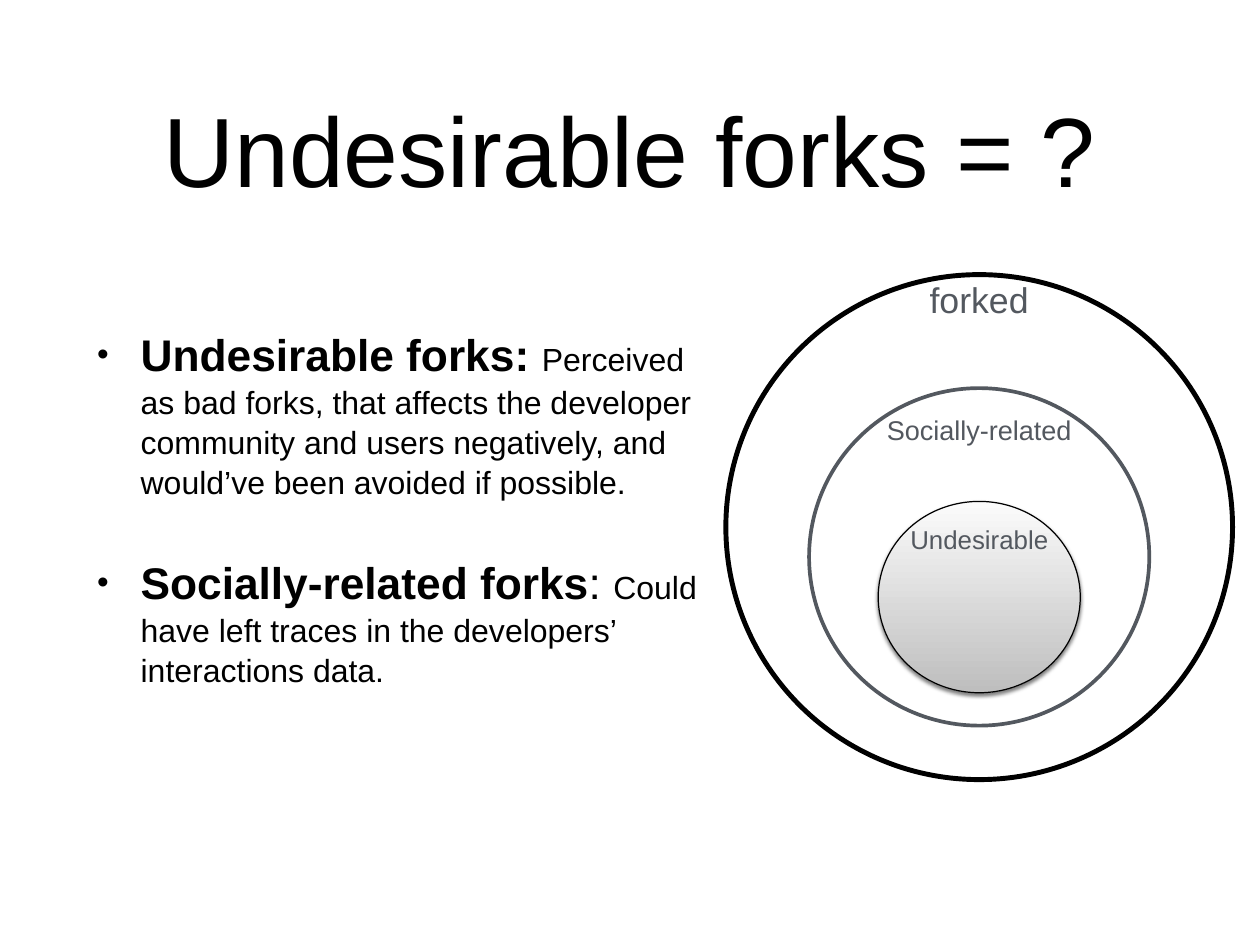
"""Build a slide defining undesirable forks beside three nested circles."""
from dataclasses import dataclass
from typing import Any, Optional

import lxml.etree
import pptx
import pptx.dml.color
import pptx.enum.shapes
import pptx.enum.text
import pptx.oxml.ns
import pptx.util

FONT = "Arial"
BLACK = "000000"
GREY = "53585F"
CIRCLES_CENTER = 795.8
TEXT_MARGIN = 4
BULLET_INDENT = 35.3


@dataclass(frozen=True)
class Circle:
    top: float
    width: float
    height: float
    line_color: str
    line_width: float
    gradient: Optional[tuple[str, str]] = None


@dataclass(frozen=True)
class Label:
    text: str
    top: float
    width: float
    height: float
    size: float


@dataclass(frozen=True)
class Definition:
    term: str
    separator: str
    meaning: str
    space_before: float


CIRCLES = [
    Circle(223.2, 411.8, 410.4, BLACK, 4),
    Circle(315.4, 276.5, 274.3, GREY, 3),
    Circle(407.5, 164.2, 155.5, BLACK, 1, ("FBFBFB", "BEBEBE")),
]
LABELS = [
    Label("Undesirable", 421.9, 123.1, 33.1, 21),
    Label("Socially-related", 331.9, 159.8, 33.8, 22),
    Label("forked", 221.8, 91.4, 43.2, 29),
]
DEFINITIONS = [
    Definition(
        "Undesirable forks: ", "",
        "Perceived as bad forks, that affects the developer community and users "
        "negatively, and would’ve been avoided if possible.", 0),
    Definition(
        "Socially-related forks", ": ",
        "Could have left traces in the developers’ interactions data.", 42),
]


def set_color(color_format: Any, value: str) -> None:
    color_format.rgb = pptx.dml.color.RGBColor.from_string(value)


def add_child(parent: Any, tag: str, **attributes: str) -> Any:
    return lxml.etree.SubElement(parent, pptx.oxml.ns.qn(tag), attributes)


def add_text(paragraph: Any, text: str, *, size: float, color: str = BLACK,
             bold: bool = False) -> None:
    run = paragraph.add_run()
    run.text = text
    run.font.name = FONT
    run.font.size = pptx.util.Pt(size)
    run.font.bold = bold
    set_color(run.font.color, color)


def format_frame(text_frame: Any, *, wrap: bool = True) -> None:
    text_frame.word_wrap = wrap
    text_frame.auto_size = (pptx.enum.text.MSO_AUTO_SIZE.NONE if wrap
                            else pptx.enum.text.MSO_AUTO_SIZE.SHAPE_TO_FIT_TEXT)
    text_frame.vertical_anchor = pptx.enum.text.MSO_ANCHOR.MIDDLE
    for side in ("left", "top", "right", "bottom"):
        setattr(text_frame, f"margin_{side}", pptx.util.Pt(TEXT_MARGIN))


def place(shape: Any, left: float, top: float, width: float, height: float) -> None:
    shape.left, shape.top = pptx.util.Pt(left), pptx.util.Pt(top)
    shape.width, shape.height = pptx.util.Pt(width), pptx.util.Pt(height)


def add_bullet(paragraph: Any) -> None:
    properties = paragraph._p.get_or_add_pPr()
    indent = pptx.util.Pt(BULLET_INDENT)
    properties.set("marL", str(indent))
    properties.set("indent", str(-indent))
    add_child(properties, "a:buSzPct", val="75000")
    add_child(properties, "a:buFont", typeface=FONT)
    add_child(properties, "a:buChar", char="•")


def add_shadow(shape: Any) -> None:
    effects = shape._element.spPr.find(pptx.oxml.ns.qn("a:effectLst"))
    shadow = add_child(effects, "a:outerShdw", blurRad=str(pptx.util.Pt(3)),
                       dist=str(pptx.util.Pt(2)), dir="5400000", rotWithShape="0")
    color = add_child(shadow, "a:srgbClr", val=BLACK)
    add_child(color, "a:alpha", val="50000")


def draw_circle(slide: Any, circle: Circle) -> None:
    shape = slide.shapes.add_shape(
        pptx.enum.shapes.MSO_SHAPE.OVAL,
        pptx.util.Pt(CIRCLES_CENTER - circle.width / 2), pptx.util.Pt(circle.top),
        pptx.util.Pt(circle.width), pptx.util.Pt(circle.height))
    shape.shadow.inherit = False
    set_color(shape.line.color, circle.line_color)
    shape.line.width = pptx.util.Pt(circle.line_width)
    if circle.gradient is None:
        shape.fill.background()
        return
    shape.fill.gradient()
    shape.fill.gradient_angle = 270
    for stop, color in zip(shape.fill.gradient_stops, circle.gradient):
        set_color(stop.color, color)
    add_shadow(shape)


def draw_label(slide: Any, label: Label) -> None:
    shape = slide.shapes.add_textbox(
        pptx.util.Pt(CIRCLES_CENTER - label.width / 2), pptx.util.Pt(label.top),
        pptx.util.Pt(label.width), pptx.util.Pt(label.height))
    format_frame(shape.text_frame, wrap=False)
    paragraph = shape.text_frame.paragraphs[0]
    paragraph.alignment = pptx.enum.text.PP_ALIGN.CENTER
    add_text(paragraph, label.text, size=label.size, color=GREY)


def write_title(title: Any) -> None:
    place(title, 75, 35, 874, 170)
    format_frame(title.text_frame)
    paragraph = title.text_frame.paragraphs[0]
    paragraph.alignment = pptx.enum.text.PP_ALIGN.CENTER
    add_text(paragraph, "Undesirable forks = ?", size=80)


def write_definitions(body: Any) -> None:
    place(body, 75, 205, 499, 414)
    format_frame(body.text_frame)
    for index, definition in enumerate(DEFINITIONS):
        paragraph = (body.text_frame.add_paragraph() if index
                     else body.text_frame.paragraphs[0])
        add_bullet(paragraph)
        paragraph.space_before = pptx.util.Pt(definition.space_before)
        paragraph.line_spacing = 1.05
        add_text(paragraph, definition.term, size=36, bold=True)
        if definition.separator:
            add_text(paragraph, definition.separator, size=36)
        add_text(paragraph, definition.meaning, size=26)


def main() -> None:
    presentation = pptx.Presentation()
    presentation.slide_width = pptx.util.Pt(1024)
    presentation.slide_height = pptx.util.Pt(768)
    slide = presentation.slides.add_slide(presentation.slide_layouts[1])
    write_title(slide.shapes.title)
    write_definitions(slide.placeholders[1])
    for circle in CIRCLES:
        draw_circle(slide, circle)
    for label in LABELS:
        draw_label(slide, label)
    presentation.save("out.pptx")


if __name__ == "__main__":
    main()
